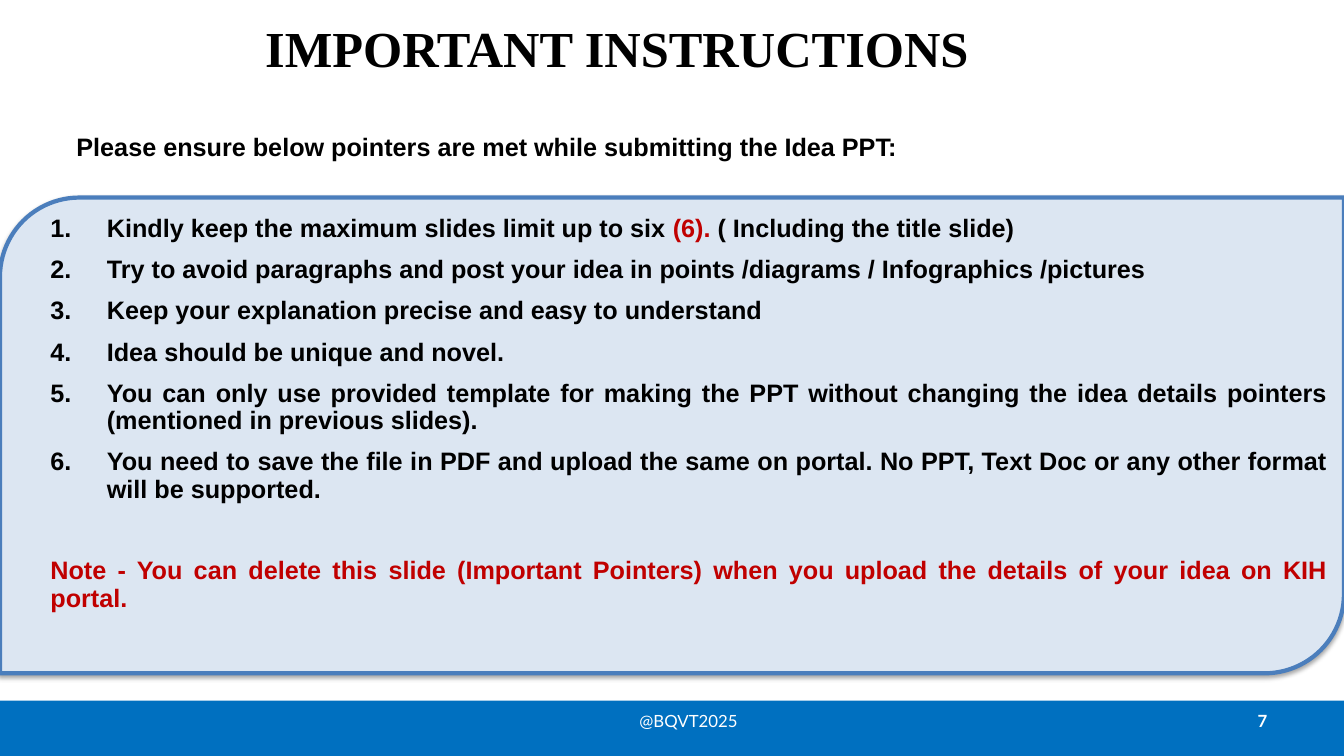
"""Build the slide of important instructions for an idea submission."""
from lxml.etree import SubElement
from pptx import Presentation
from pptx.dml.color import RGBColor
from pptx.enum.shapes import MSO_SHAPE as Preset
from pptx.enum.text import MSO_ANCHOR as Anchor, MSO_AUTO_SIZE as AutoSize, PP_ALIGN as Align
from pptx.oxml.ns import qn
from pptx.util import Inches, Pt

BLACK, WHITE, RED = "000000", "FFFFFF", "C00000"
WIDTH, HEIGHT = 13.33, 7.5
FOOTER_TOP = 6.95
HANGING = Inches(0.56)
ITEMS = [
    [("Kindly keep the maximum slides limit up to six ", BLACK), ("(6). ", RED),
     ("( Including the title slide) ", BLACK)],
    [("Try to avoid paragraphs and post your idea in points /diagrams / Infographics /pictures ", BLACK)],
    [("Keep your explanation precise and easy to understand", BLACK)],
    [("Idea should be unique and novel. ", BLACK)],
    [("You can only use provided template for making the PPT without changing the idea details "
      "pointers (mentioned in previous slides).", BLACK)],
    [("You need to save the file in PDF and upload the same on portal. No PPT, Text Doc or any "
      "other format will be supported.", BLACK)],
    [("Note - You can delete this slide (Important Pointers) when you upload the details of your "
      "idea on KIH portal.", RED)],
]


def place(box, left, top, width, height, anchor=Anchor.TOP):
    """Move a text shape and fix its frame."""
    box.left, box.top, box.width, box.height = map(Inches, (left, top, width, height))
    frame = box.text_frame
    frame.word_wrap, frame.auto_size, frame.vertical_anchor = True, AutoSize.NONE, anchor
    return frame.paragraphs[0]


def write(para, pieces, size, font, align, bold=True):
    """Fill a paragraph with coloured pieces of text."""
    para.alignment = align
    for text, color in pieces:
        span = para.add_run()
        span.text = text
        span.font.size, span.font.name, span.font.bold = Pt(size), font, bold
        span.font.color.rgb = RGBColor.from_string(color)


deck = Presentation()
deck.slide_width, deck.slide_height = Inches(WIDTH), Inches(HEIGHT)
page = deck.slides.add_slide(deck.slide_layouts[1])
title, body = page.placeholders
shapes = page.shapes

footer = shapes.add_shape(Preset.RECTANGLE, 0, Inches(FOOTER_TOP),
                          Inches(WIDTH), Inches(HEIGHT - FOOTER_TOP))
card = shapes.add_shape(Preset.ROUND_2_DIAG_RECTANGLE, 0, Inches(1.96), Inches(WIDTH), Inches(4.72))
for panel, color in ((footer, "0070C0"), (card, "DCE6F2")):
    panel.shadow.inherit = False
    panel.fill.solid()
    panel.fill.fore_color.rgb = RGBColor.from_string(color)
footer.line.fill.background()
card.line.color.rgb = RGBColor.from_string("4B7EBC")
card.line.width = Pt(3)
shadow = SubElement(card.element.spPr.find(qn("a:effectLst")), qn("a:outerShdw"),
                    blurRad=str(Pt(3.1)), dist=str(Pt(1.8)), dir="5400000", rotWithShape="0")
shade = SubElement(shadow, qn("a:srgbClr"), val=BLACK)
SubElement(shade, qn("a:alpha"), val="35000")

for text, left, width, align, bold in (("7", 9.56, 3.11, Align.RIGHT, True),
                                       ("@BQVT2025", 5.08, 3.5, Align.CENTER, False)):
    box = shapes.add_textbox(0, 0, 0, 0)
    para = place(box, left, FOOTER_TOP, width, 0.4, Anchor.MIDDLE)
    write(para, [(text, WHITE)], 12, "Lato", align, bold)

for holder in (body, title):
    shapes.element.append(holder.element)

para = place(title, 1.52, 0.12, 9.2, 0.71)
write(para, [("IMPORTANT INSTRUCTIONS", BLACK)], 36, "Times New Roman", Align.CENTER)

lead = shapes.add_textbox(0, 0, 0, 0)
para = place(lead, 0.66, 1.29, 10.45, 0.37)
para.line_spacing = 0.9
write(para, [("Please ensure below pointers are met while submitting the Idea PPT:", BLACK)],
      18, "Arial", Align.JUSTIFY)

para = place(body, 0.4, 2.09, 12.87, 4.45)
for index, pieces in enumerate(ITEMS):
    is_note = index == len(ITEMS) - 1
    if index:
        para = body.text_frame.add_paragraph()
    para.line_spacing = 0.9
    para.space_before = Pt(39 if is_note else 10 if index else 0)
    write(para, pieces, 18, "Arial", Align.JUSTIFY)
    props = para._p.get_or_add_pPr()
    props.set("marL", str(0 if is_note else HANGING))
    props.set("indent", str(0 if is_note else -HANGING))
    if is_note:
        SubElement(props, qn("a:buNone"))
    else:
        SubElement(SubElement(props, qn("a:buClr")), qn("a:srgbClr"), val=BLACK)
        SubElement(props, qn("a:buAutoNum"), type="arabicPeriod")

deck.save("out.pptx")
